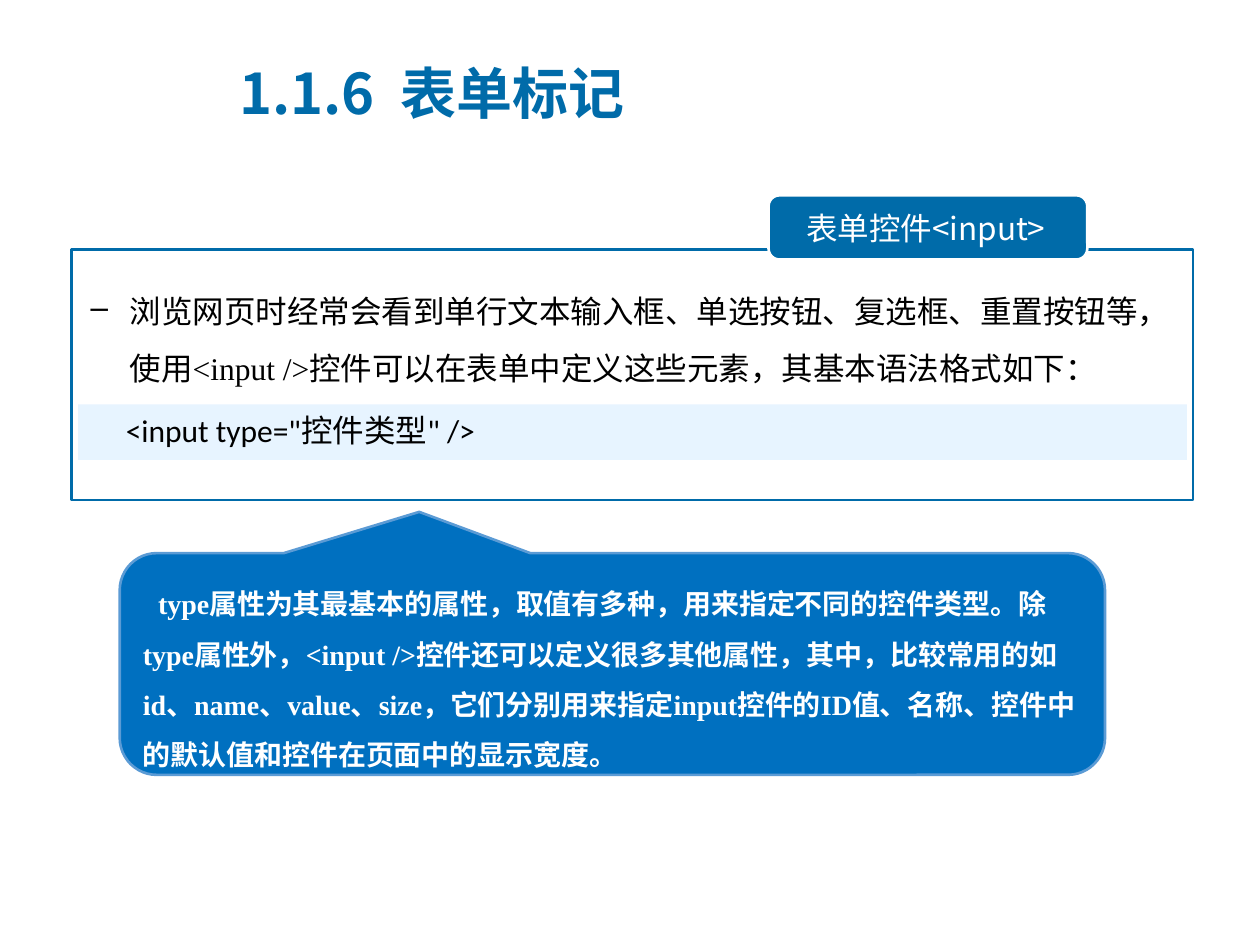
from lxml import etree
from pptx import Presentation, util as u
from pptx.dml.color import RGBColor
from pptx.enum import shapes, text
from pptx.oxml.ns import qn

SANS, SERIF, CODE = "Noto Sans CJK SC", "Times New Roman", "Calibri"
BLUE, WHITE, BLACK = "006BA9", "FFFFFF", "000000"
KIND = shapes.MSO_SHAPE

PANEL = dict(box=(0.57, 1.98, 8.9, 1.99), fill=WHITE, line=BLUE)
INTRO = dict(
    box=(0.62, 2.12, 8.79, 0.95), font=SERIF, color=BLACK, spacing=1.5,
    margin=0.31, indent=-0.31, bullet="–",
    words="浏览网页时经常会看到单行文本输入框、单选按钮、复选框、重置按钮等，"
          "使用<input />控件可以在表单中定义这些元素，其基本语法格式如下：")
SYNTAX = dict(box=(0.62, 3.21, 8.8, 0.44), fill="E7F4FF", font=CODE, color=BLACK,
              indent=0.28, words='<input type="控件类型" />')
TAB = dict(box=(6.1, 1.55, 2.53, 0.51), kind=KIND.ROUNDED_RECTANGLE,
           adjust=[0.17], fill=BLUE, line=WHITE)
TAB_LABEL = dict(box=(6.3, 1.61, 2.22, 0.4), font=SANS, color=WHITE,
                 wrap=False, words="表单控件<input>")
CALLOUT = dict(
    box=(0.95, 4.39, 7.82, 1.76), kind=KIND.ROUNDED_RECTANGULAR_CALLOUT,
    adjust=[-0.196, -0.686, 0.167], fill="0070C0", line="5B9BD5",
    font=SERIF, color=WHITE, size=16, bold=True, spacing=1.5, indent=0.12,
    words="type属性为其最基本的属性，取值有多种，用来指定不同的控件类型。"
          "除type属性外，<input />控件还可以定义很多其他属性，其中，比较常用的如"
          "id、name、value、size，它们分别用来指定input控件的ID值、名称、"
          "控件中的默认值和控件在页面中的显示宽度。")
TITLE = dict(box=(1.8, 0.43, 7.3, 0.61), font=SANS, color=BLUE, size=32, bold=True,
             margin=0.62, indent=-0.62, anchor=text.MSO_ANCHOR.MIDDLE,
             words="1.1.6  表单标记")


def rgb(value):
    """Return a colour from its hex string."""
    return RGBColor.from_string(value)


def write(shape, words, font, color, size=18, bold=False, spacing=1, margin=0,
          indent=0, bullet=None, wrap=True, anchor=text.MSO_ANCHOR.TOP):
    """Put one formatted paragraph into a shape."""
    frame = shape.text_frame
    frame.text = words
    frame.word_wrap = wrap
    frame.vertical_anchor = anchor
    paragraph = frame.paragraphs[0]
    paragraph.alignment = text.PP_ALIGN.LEFT
    paragraph.line_spacing = spacing
    properties = paragraph._p.get_or_add_pPr()
    properties.set("marL", str(u.Inches(margin)))
    properties.set("indent", str(u.Inches(indent)))
    if bullet:
        etree.SubElement(properties, qn("a:buChar"), char=bullet)
    run = paragraph.runs[0]
    run.font.name, run.font.size, run.font.bold = font, u.Pt(size), bold
    run.font.color.rgb = rgb(color)
    etree.SubElement(run._r.get_or_add_rPr(), qn("a:ea"), typeface=SANS)


def add_item(slide, box, kind=KIND.RECTANGLE, adjust=(), fill=None, line=None, **content):
    """Add a filled shape, or a text box when there is no fill."""
    place = [u.Inches(length) for length in box]
    if fill:
        shape = slide.shapes.add_shape(kind, *place)
        shape.shadow.inherit = False
        shape.fill.solid()
        shape.fill.fore_color.rgb = rgb(fill)
        for index, value in enumerate(adjust):
            shape.adjustments[index] = value
        if line:
            shape.line.color.rgb = rgb(line)
            shape.line.width = u.Pt(1.5)
        else:
            shape.line.fill.background()
    else:
        shape = slide.shapes.add_textbox(*place)
    if content:
        write(shape, **content)


def main():
    """Build and save the slide."""
    presentation = Presentation()
    presentation.slide_width, presentation.slide_height = u.Inches(10), u.Inches(7.5)
    slide = presentation.slides.add_slide(presentation.slide_layouts[6])
    for item in (PANEL, INTRO, SYNTAX, TAB, TAB_LABEL, CALLOUT, TITLE):
        add_item(slide, **item)
    presentation.save("out.pptx")


if __name__ == "__main__":
    main()
